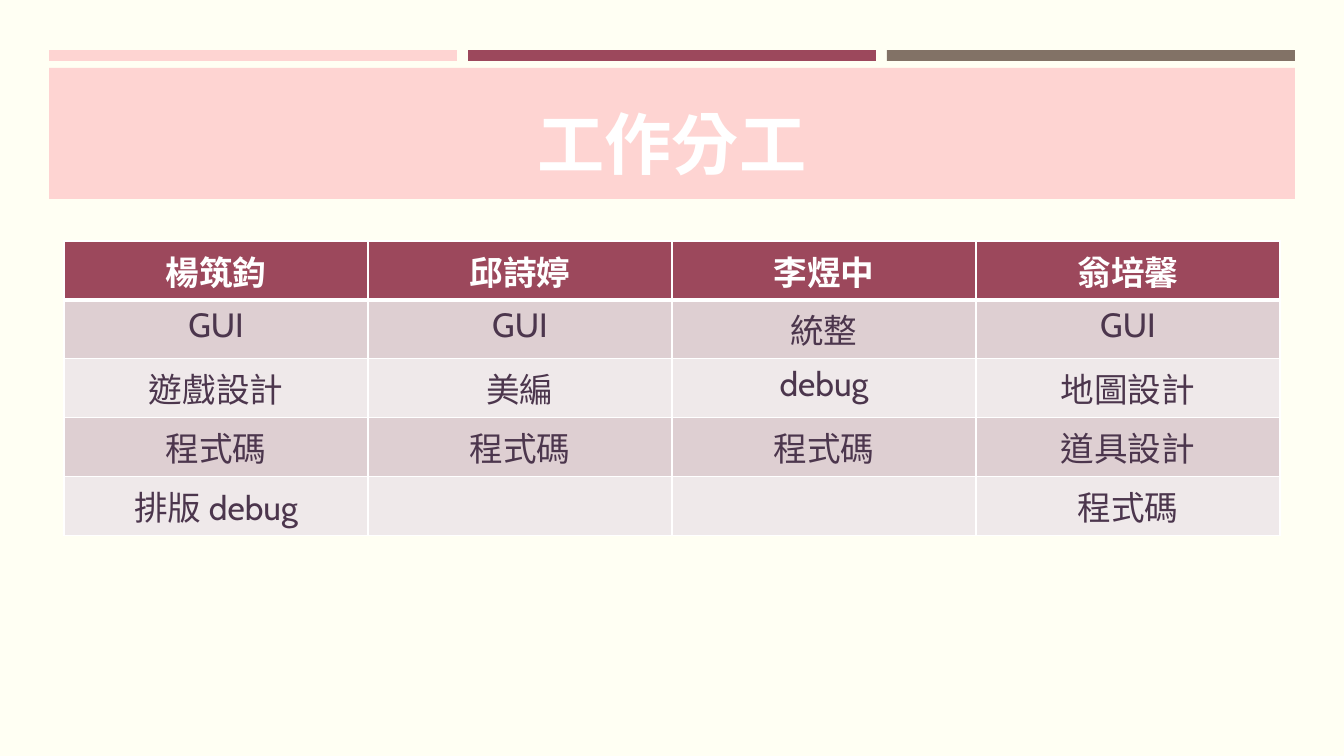
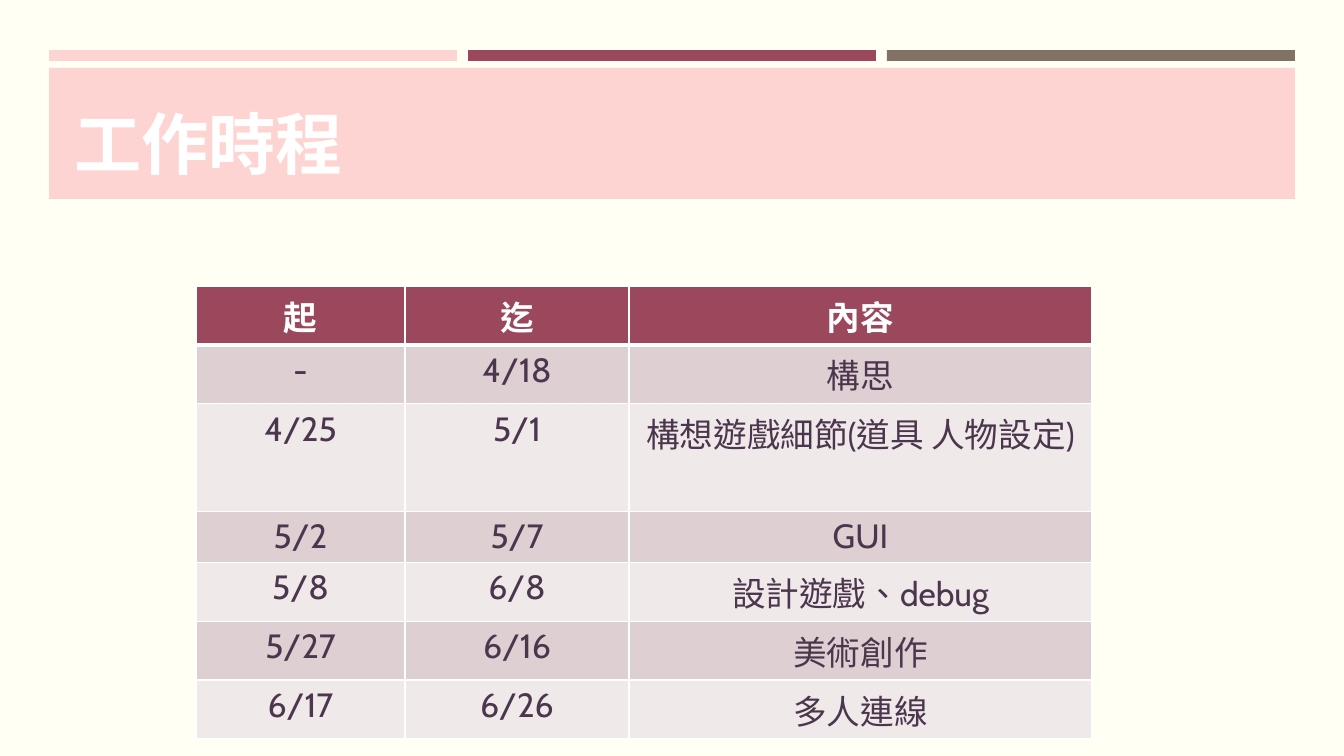
from lxml import etree
from pptx import Presentation
from pptx import util as u
from pptx.dml.color import RGBColor
from pptx.enum import lang, shapes, text
from pptx.oxml.ns import qn

PX = 12192000 / 1344


def px(n):
    """Pixels to EMU."""
    return u.Emu(round(n * PX))


def rgb(code):
    return RGBColor.from_string(code)


class Deck:
    FONT = "Cabin"
    PAPER, WHITE, INK = "FFFFF3", "FFFFFF", "4C364D"
    PINK, WINE, BROWN = "FED4D2", "9C485C", "827266"
    STRIPES = ("DECFD2", "EFE9EA")

    def __init__(self):
        self.prs = Presentation()
        self.prs.slide_width, self.prs.slide_height = px(1344), px(756)
        fill = self.prs.slide_master.background.fill
        fill.solid()
        fill.fore_color.rgb = rgb(self.PAPER)

    def add_slide(self, title, align):
        self.s = self.prs.slides.add_slide(self.prs.slide_layouts[5])
        for i, color in enumerate((self.PINK, self.WINE, self.BROWN)):
            self.bar(49 + 419 * i, 50, 408, 11, color)
        self.bar(49, 68, 1246, 131, self.PINK)
        self.title(title, align)

    def bar(self, x, y, w, h, color):
        sp = self.s.shapes.add_shape(
            shapes.MSO_SHAPE.RECTANGLE, px(x), px(y), px(w), px(h))
        sp.shadow.inherit = False
        sp.fill.solid()
        sp.fill.fore_color.rgb = rgb(color)
        sp.line.fill.background()

    def title(self, words, align):
        sp = self.s.shapes.title
        self.s.shapes._spTree.append(sp._element)  # in front of the band
        sp.left, sp.top, sp.width, sp.height = px(64), px(87), px(1216), px(112)
        tf = sp.text_frame
        tf.word_wrap = True
        tf.auto_size = text.MSO_AUTO_SIZE.NONE
        tf.vertical_anchor = text.MSO_ANCHOR.MIDDLE
        self.add_text(tf, words, 48, self.WHITE, True, align)

    def add_text(self, tf, words, size, color, bold, align):
        p = tf.paragraphs[0]
        p.alignment = align
        r = p.add_run()
        r.text = words
        r.font.name, r.font.size, r.font.bold = self.FONT, u.Pt(size), bold
        r.font.color.rgb = rgb(color)
        r.font.language_id = lang.MSO_LANGUAGE_ID.TRADITIONAL_CHINESE

    def borders(self, cell, top, bottom):
        """Draw white cell borders; top and bottom are widths in points."""
        tcPr = cell._tc.get_or_add_tcPr()
        for side, width in zip("LRTB", (1, 1, top, bottom)):
            ln = etree.SubElement(tcPr, qn(f"a:ln{side}"), w=str(u.Pt(width)))
            fill = etree.SubElement(ln, qn("a:solidFill"))
            etree.SubElement(fill, qn("a:srgbClr"), val=self.WHITE)

    def table(self, x, y, widths, heights, rows):
        table = self.s.shapes.add_table(
            len(rows), len(widths), px(x), px(y),
            px(sum(widths)), px(sum(heights))).table
        for column, w in zip(table.columns, widths):
            column.width = px(w)
        for i, (row, h, words) in enumerate(zip(table.rows, heights, rows)):
            row.height = px(h)
            header = i == 0
            for cell, word in zip(row.cells, words):
                self.borders(cell, 3 if i == 1 else 1, 3 if header else 1)
                cell.fill.solid()
                cell.fill.fore_color.rgb = rgb(
                    self.WINE if header else self.STRIPES[(i - 1) % 2])
                if word:
                    self.add_text(cell.text_frame, word, 24,
                                  self.WHITE if header else self.INK,
                                  header, text.PP_ALIGN.CENTER)


def main():
    deck = Deck()

    deck.add_slide("工作分工", text.PP_ALIGN.CENTER)
    deck.table(64, 241, [304] * 4, [58] * 5, [
        ("楊筑鈞", "邱詩婷", "李煜中", "翁培馨"),
        ("GUI", "GUI", "統整", "GUI"),
        ("遊戲設計", "美編", "debug", "地圖設計"),
        ("程式碼", "程式碼", "程式碼", "道具設計"),
        ("排版 debug", "", "", "程式碼"),
    ])

    deck.add_slide("工作時程", text.PP_ALIGN.LEFT)
    deck.table(196, 286, [209, 224, 463], [58, 58, 107, 51, 58, 58, 58], [
        ("起", "迄", "內容"),
        ("-", "4/18", "構思"),
        ("4/25", "5/1", "構想遊戲細節(道具 人物設定)"),
        ("5/2", "5/7", "GUI"),
        ("5/8", "6/8", "設計遊戲、debug"),
        ("5/27", "6/16", "美術創作"),
        ("6/17", "6/26", "多人連線"),
    ])

    deck.prs.save("out.pptx")


if __name__ == "__main__":
    main()
